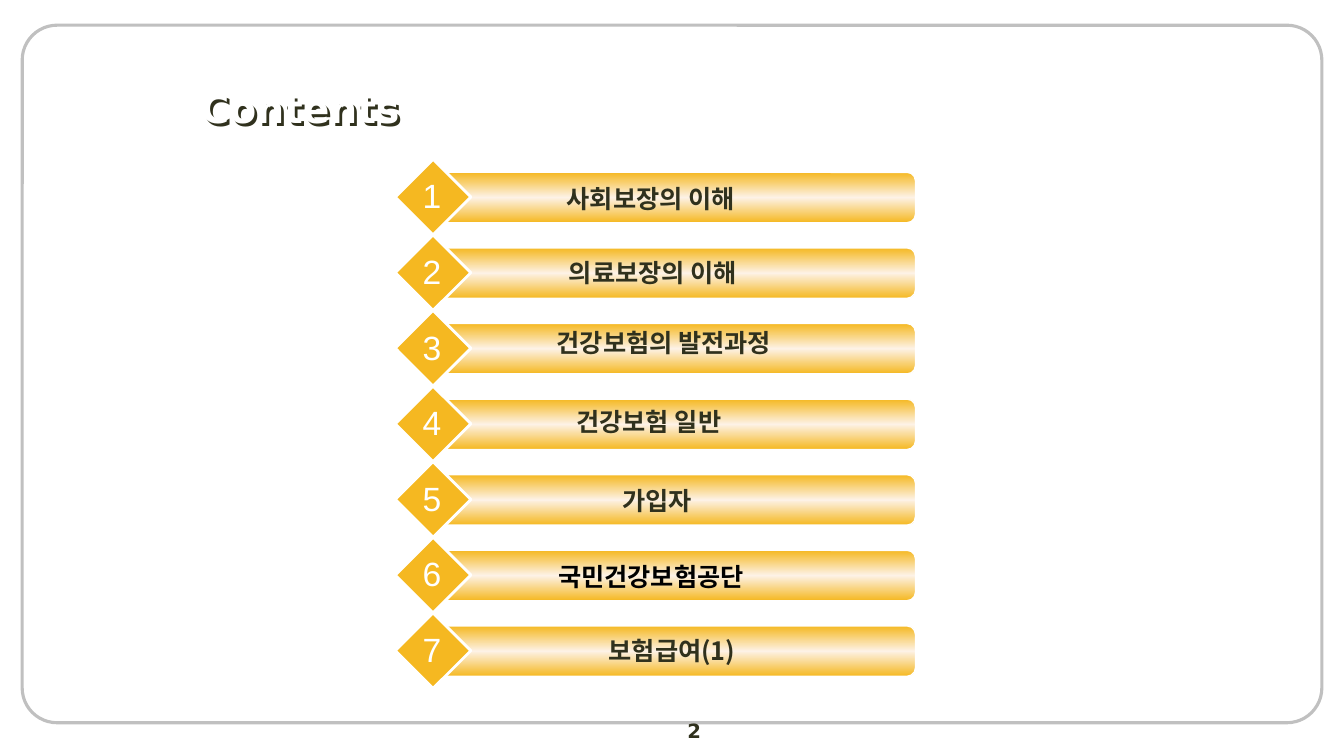
import copy
import pptx
import pptx.util
import pptx.dml.color
import pptx.enum.shapes
import pptx.enum.text
import pptx.oxml
import pptx.oxml.ns

# Content: wording, label left, label top, colour name
TITLE = "Contents"
PAGE = "2"
ITEMS = [
    ("사회보장의 이해", 4.58, 1.77, "ink"),
    ("의료보장의 이해", 4.6, 2.5, "ink"),
    ("건강보험의 발전과정", 4.71, 3.2, "ink"),
    ("건강보험 일반", 4.56, 3.98, "ink"),
    ("가입자", 4.64, 4.77, "ink"),
    ("국민건강보험공단", 4.58, 5.52, "black"),
    ("보험급여(1)", 4.79, 6.25, "ink"),
]
TOP, STEP = 1.58, 0.75


class Theme:
    ink, black, white = "30311D", "000000", "FFFFFF"
    gold, cream, gray = "F5B821", "FDF2E6", "C0C0C0"
    head, body, korean = "DejaVu Sans", "Arial", "Noto Sans CJK KR"
    big, num, label, small = 28, 24, 18, 14


Inches, Pt = pptx.util.Inches, pptx.util.Pt
Kind = pptx.enum.shapes.MSO_SHAPE
Align = pptx.enum.text.PP_ALIGN
Anchor = pptx.enum.text.MSO_ANCHOR


def color(code):
    return pptx.dml.color.RGBColor.from_string(code)


def add_shape(slide, kind, box, line, width, fill=None):
    shape = slide.shapes.add_shape(kind, *map(Inches, box))
    shape.shadow.inherit = False
    shape.line.color.rgb = color(line)
    shape.line.width = Pt(width)
    if fill:
        shape.fill.solid()
        shape.fill.fore_color.rgb = color(fill)
    else:
        shape.fill.background()
    return shape


def shade(shape):
    """Blend gold to cream and back, from top to bottom."""
    fill = shape.fill
    fill.gradient()
    fill.gradient_angle = 90
    stops = shape._element.spPr.find(".//" + pptx.oxml.ns.qn("a:gsLst"))
    stops.insert(1, copy.deepcopy(stops[0]))
    parts = [(0, Theme.gold), (0.5, Theme.cream), (1, Theme.gold)]
    for stop, (place, code) in zip(fill.gradient_stops, parts):
        stop.position = place
        stop.color.rgb = color(code)


def write(frame, text, size, face, code, bold=False, align=Align.CENTER):
    para = frame.paragraphs[0]
    para.alignment = align
    run = para.add_run()
    run.text = text
    run.font.size = Pt(size)
    run.font.bold = bold
    run.font.name = face
    run.font.color.rgb = color(code)
    return run


def add_text(slide, box, *style, bold=False, wrap=True):
    frame = slide.shapes.add_textbox(*map(Inches, box)).text_frame
    frame.word_wrap = wrap
    return write(frame, *style, bold=bold)


def set_title(slide):
    title = slide.shapes.title
    title.left, title.top, title.width, title.height = map(
        Inches, (1.89, 0.78, 10.67, 0.58))
    title.text_frame.vertical_anchor = Anchor.MIDDLE
    write(title.text_frame, TITLE, Theme.big, Theme.head, Theme.white,
          bold=True, align=Align.LEFT)
    # Dark shadow behind the white letters
    title.fill.background()
    space = pptx.oxml.ns.nsdecls("a")
    title._element.spPr.append(pptx.oxml.parse_xml(
        f'<a:effectLst {space}><a:outerShdw dist="35900" dir="2700000" '
        f'algn="ctr" rotWithShape="0"><a:srgbClr val="{Theme.ink}"/>'
        '</a:outerShdw></a:effectLst>'))


def add_item(slide, index, text, left, top, ink):
    row = TOP + index * STEP
    bar = add_shape(slide, Kind.ROUNDED_RECTANGLE,
                    (4.33, row + 0.13, 4.75, 0.5), Theme.white, 1)
    shade(bar)
    add_shape(slide, Kind.DIAMOND, (3.92, row, 0.75, 0.75),
              Theme.white, 2, Theme.gold)
    run = add_text(slide, (left, top, 3.75, 0.4), text, Theme.label,
                   Theme.korean, getattr(Theme, ink), bold=True)
    east = run._r.get_or_add_rPr().makeelement(
        pptx.oxml.ns.qn("a:ea"), {"typeface": Theme.korean})
    run._r.rPr.append(east)
    add_text(slide, (4.09, row + 0.11, 0.39, 0.5), str(index + 1),
             Theme.num, Theme.body, Theme.white, wrap=False)


def main():
    deck = pptx.Presentation()
    deck.slide_width, deck.slide_height = Inches(13.33), Inches(7.5)
    slide = deck.slides.add_slide(deck.slide_layouts[5])

    # Frame, title and page number
    frame = add_shape(slide, Kind.ROUNDED_RECTANGLE,
                      (0.22, 0.25, 12.89, 6.92), Theme.gray, 2.25)
    frame.adjustments[0] = 0.05
    set_title(slide)
    add_text(slide, (5.33, 7.08, 3.11, 0.27), PAGE, Theme.small,
             Theme.head, Theme.ink, bold=True)

    # Numbered bars
    for index, item in enumerate(ITEMS):
        add_item(slide, index, *item)

    deck.save("out.pptx")


if __name__ == "__main__":
    main()
